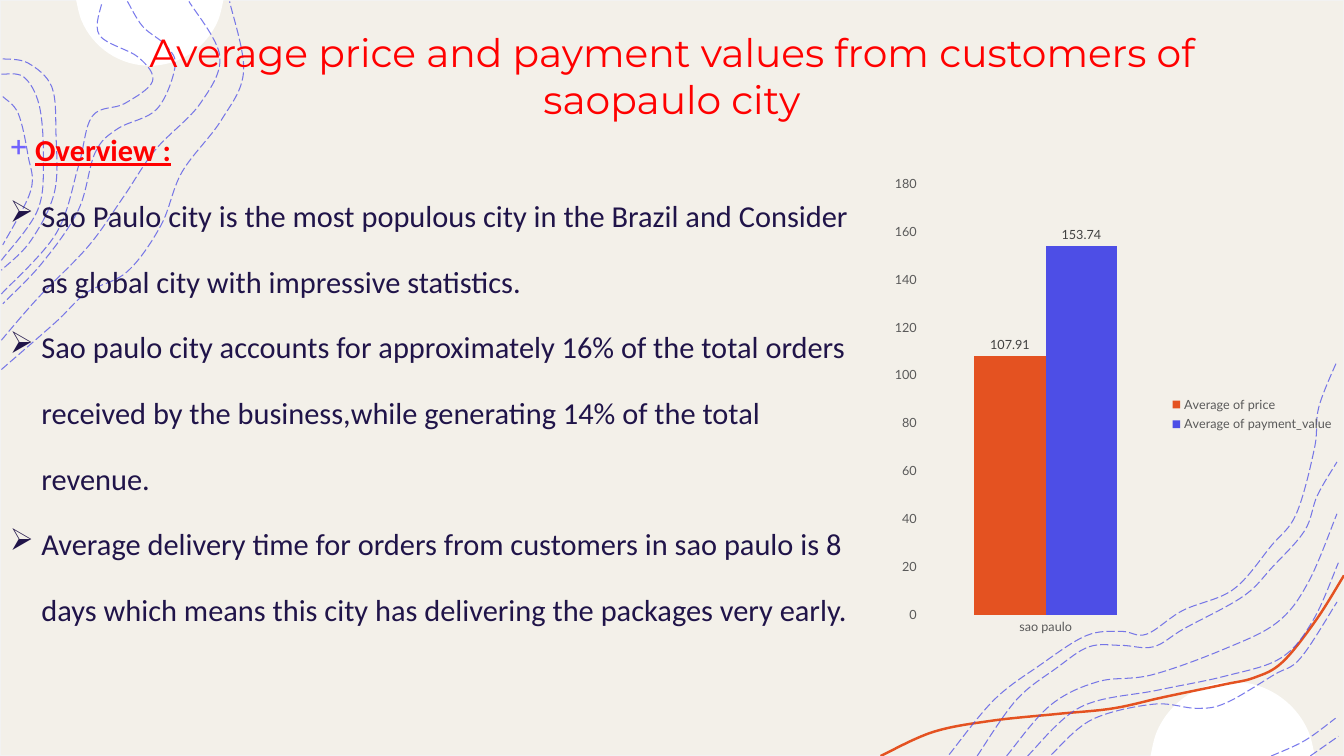
from math import asin, cos, pi, sin

from lxml.etree import SubElement
from pptx import Presentation
from pptx.chart.data import CategoryChartData
from pptx.dml.color import RGBColor
from pptx.enum.chart import XL_CHART_TYPE, XL_LABEL_POSITION, XL_LEGEND_POSITION, XL_TICK_MARK
from pptx.enum.dml import MSO_LINE
from pptx.enum.shapes import MSO_SHAPE
from pptx.enum.text import MSO_ANCHOR, PP_ALIGN
from pptx.oxml.ns import qn
from pptx.util import Pt

CREAM = RGBColor(0xF3, 0xF0, 0xE9)
EDGE = RGBColor(0xF2, 0xF2, 0xF2)
WHITE = RGBColor(0xFF, 0xFF, 0xFF)
ORANGE = RGBColor(0xE4, 0x52, 0x21)
BLUE = RGBColor(0x4D, 0x4E, 0xE6)
VIOLET = RGBColor(0x71, 0x62, 0xFE)
NAVY = RGBColor(0x20, 0x14, 0x49)
RED = RGBColor(0xFF, 0x00, 0x00)
GREY = RGBColor(0x59, 0x59, 0x59)
DARK = RGBColor(0x40, 0x40, 0x40)

# Points that each dashed contour line passes through
LEFT = [
    [(1, 264), (40, 230), (62, 209), (91, 194), (115, 161), (130, 123), (158, 86),
     (174, 51), (164, 1)],
    [(1, 243), (27, 213), (63, 176), (88, 141), (111, 107), (143, 74), (157, 40), (135, 1)],
    [(91, 1), (102, 19), (119, 33), (125, 48), (112, 78), (84, 92), (68, 109), (56, 150),
     (30, 188), (2, 217)],
    [(1, 210), (40, 167), (56, 119), (66, 83), (89, 74), (109, 58), (99, 41), (71, 25), (73, 1)],
    [(2, 42), (20, 45), (37, 62), (40, 95), (39, 137), (22, 172), (1, 193)],
    [(1, 53), (17, 55), (28, 75), (31, 112), (27, 150), (1, 186)],
    [(2, 69), (13, 81), (20, 111), (22, 136), (2, 175)],
]
RIGHT = [
    [(678, 539), (710, 500), (743, 475), (776, 454), (801, 451), (819, 453), (845, 436),
     (881, 421), (908, 390), (926, 367), (939, 320), (942, 291), (955, 258)],
    [(698, 540), (726, 500), (755, 477), (778, 462), (801, 461), (824, 462), (846, 449),
     (888, 426), (909, 405), (932, 379), (941, 354), (955, 330)],
    [(936, 540), (956, 526)],
    [(908, 540), (932, 529), (954, 513)],
    [(751, 539), (780, 514), (824, 503), (855, 506), (876, 502), (910, 482), (929, 470),
     (955, 430)],
    [(734, 540), (772, 505), (827, 493), (875, 483), (915, 470), (938, 443), (956, 402)],
    [(719, 540), (750, 504), (784, 487), (823, 482), (876, 463), (913, 444), (935, 415),
     (955, 367)],
]
RIBBON = [(629, 540), (666, 523), (707, 515), (755, 510), (795, 506), (831, 498),
          (874, 489), (896, 484), (916, 473), (940, 443), (960, 411)]

TITLE = "Average price and payment values from customers of saopaulo city"
FACTS = [
    "Sao Paulo city is the most populous city in the Brazil and Consider as global city "
    "with impressive statistics.",
    "Sao paulo city accounts for approximately 16% of the total orders received by the "
    "business,while generating 14% of the total revenue.",
    "Average delivery time for orders from customers in sao paulo is 8 days which means "
    "this city has delivering the packages very early.",
]


def style(font, face="Lato", size=9, color=GREY, bold=False, under=False):
    font.name, font.size = face, Pt(size)
    font.bold, font.underline = bold, under
    font.color.rgb = color


def write(par, text, space=1.0, before=0, align=PP_ALIGN.LEFT, bullet=None, tint=NAVY,
          indent=0, **look):
    run = par.add_run()
    run.text = text
    style(run.font, **look)
    par.alignment, par.line_spacing, par.space_before = align, space, Pt(before)
    if bullet:
        props = par._p.get_or_add_pPr()
        props.set("marL", str(Pt(indent)))
        props.set("indent", str(-Pt(indent)))
        SubElement(SubElement(props, qn("a:buClr")), qn("a:srgbClr"), val=str(tint))
        SubElement(props, qn("a:buChar"), char=bullet)


def bend(form):
    """Turn the straight segments of a freeform into smooth Bezier curves."""
    dots = [(int(p.get("x")), int(p.get("y"))) for p in form._element.iter(qn("a:pt"))]
    ends = [dots[0], *dots, dots[-1]]
    lines = list(form._element.iter(qn("a:lnTo")))
    for line, a, b, c, d in zip(lines, ends, ends[1:], ends[2:], ends[3:]):
        line.tag = qn("a:cubicBezTo")
        line.remove(line[0])
        leave = [q + (r - p) / 6 for p, q, r in zip(a, b, c)]
        reach = [q - (r - p) / 6 for p, q, r in zip(b, c, d)]
        for x, y in (leave, reach, c):
            SubElement(line, qn("a:pt"), x=str(round(x)), y=str(round(y)))


class Page:
    def __init__(self, deck):
        self.slide = deck.slides.add_slide(deck.slide_layouts[6])
        self.shapes = self.slide.shapes

    def ground(self, width, height):
        rect = self.shapes.add_shape(MSO_SHAPE.RECTANGLE, 0, 0, Pt(width), Pt(height))
        rect.shadow.inherit = False
        rect.fill.solid()
        rect.fill.fore_color.rgb = CREAM
        rect.line.color.rgb, rect.line.width = EDGE, Pt(1)

    def outline(self, dots, close=False):
        dots = [(Pt(x), Pt(y)) for x, y in dots]
        pen = self.shapes.build_freeform(*dots[0])
        pen.add_line_segments(dots[1:], close=False)
        form = pen.convert_to_shape()
        bend(form)
        if close:
            SubElement(form._element.find(".//" + qn("a:path")), qn("a:close"))
        form.shadow.inherit = False
        return form

    def cap(self, mid, edge, radius, way, sunk=6, parts=10):
        """White part of a circle whose centre lies just past the slide edge."""
        low = asin(sunk / radius)
        turns = [low + (pi - 2 * low) * i / parts for i in range(parts + 1)]
        form = self.outline([(mid + radius * cos(a), edge + way * (radius * sin(a) - sunk))
                             for a in turns], close=True)
        form.fill.solid()
        form.fill.fore_color.rgb = WHITE
        form.line.fill.background()

    def curve(self, knots, color, width, dashed=False):
        form = self.outline(knots)
        form.fill.background()
        form.line.color.rgb, form.line.width = color, Pt(width)
        if dashed:
            form.line.dash_style = MSO_LINE.LONG_DASH
            tone = form.line._ln.find(".//" + qn("a:srgbClr"))
            SubElement(tone, qn("a:alpha"), val="75000")

    def frame(self, left, top, width, height, anchor=MSO_ANCHOR.TOP):
        box = self.shapes.add_textbox(Pt(left), Pt(top), Pt(width), Pt(height)).text_frame
        box.word_wrap, box.vertical_anchor = True, anchor
        return box

    def columns(self, left, top, width, height, cat, series):
        data = CategoryChartData()
        data.categories = [cat]
        for name, value, _ in series:
            data.add_series(name, [value])
        chart = self.shapes.add_chart(XL_CHART_TYPE.COLUMN_CLUSTERED, Pt(left), Pt(top),
                                      Pt(width), Pt(height), data).chart
        style(chart.font, size=10)
        chart.has_title = False
        chart.has_legend = True
        chart.legend.position = XL_LEGEND_POSITION.RIGHT
        chart.legend.include_in_layout = False
        style(chart.legend.font)
        for axis in (chart.category_axis, chart.value_axis):
            axis.major_tick_mark = axis.minor_tick_mark = XL_TICK_MARK.NONE
            axis.has_major_gridlines = False
            axis.format.line.fill.background()
            style(axis.tick_labels.font)
        scale = chart.value_axis
        scale.minimum_scale, scale.maximum_scale, scale.major_unit = 0, 180, 20
        plot = chart.plots[0]
        plot.gap_width, plot.overlap, plot.vary_by_categories = 150, 0, False
        for bar, (_, _, color) in zip(plot.series, series):
            bar.format.fill.solid()
            bar.format.fill.fore_color.rgb = color
            tags = bar.data_labels
            tags.show_value, tags.position = True, XL_LABEL_POSITION.OUTSIDE_END
            tags.number_format, tags.number_format_is_linked = "#,##0.00", False
            style(tags.font, color=DARK)
        # Fixed inner plot area
        area = chart._chartSpace.chart.plotArea
        for old in area.findall(qn("c:layout")):
            area.remove(old)
        layout = SubElement(area, qn("c:layout"))
        area.insert(0, layout)
        manual = SubElement(layout, qn("c:manualLayout"))
        for key, val in (("layoutTarget", "inner"), ("xMode", "edge"), ("yMode", "edge"),
                         ("x", "0.16"), ("y", "0.058"), ("w", "0.496"), ("h", "0.826")):
            SubElement(manual, qn("c:" + key), val=val)


def main():
    deck = Presentation()
    deck.slide_width, deck.slide_height = Pt(960), Pt(540)
    page = Page(deck)

    # Backdrop
    page.ground(960, 540)
    page.cap(107, 0, 53, 1)
    page.cap(880.5, 540, 59, -1)
    page.curve(RIBBON, ORANGE, 1.75)
    for knots in LEFT + RIGHT:
        page.curve(knots, BLUE, 0.75, dashed=True)

    # Title
    head = page.frame(66, 14.5, 828, 78, MSO_ANCHOR.MIDDLE)
    write(head.paragraphs[0], TITLE, align=PP_ALIGN.CENTER, face="Montserrat", size=28, color=RED)

    # Overview
    body = page.frame(0, 93, 622, 447)
    write(body.paragraphs[0], "Overview :", space=0.9, before=10, bullet="+", tint=VIOLET,
          indent=18, face="Calibri", size=21.7, color=RED, bold=True, under=True)
    for fact in FACTS:
        write(body.add_paragraph(), fact, space=1.8, bullet="➢", indent=22.5,
              face="Calibri", size=21.7, color=NAVY)

    # Chart
    page.columns(600, 109.5, 360, 373, "sao paulo",
                 [("Average of price", 107.91, ORANGE),
                  ("Average of payment_value", 153.74, BLUE)])
    deck.save("out.pptx")


if __name__ == "__main__":
    main()
